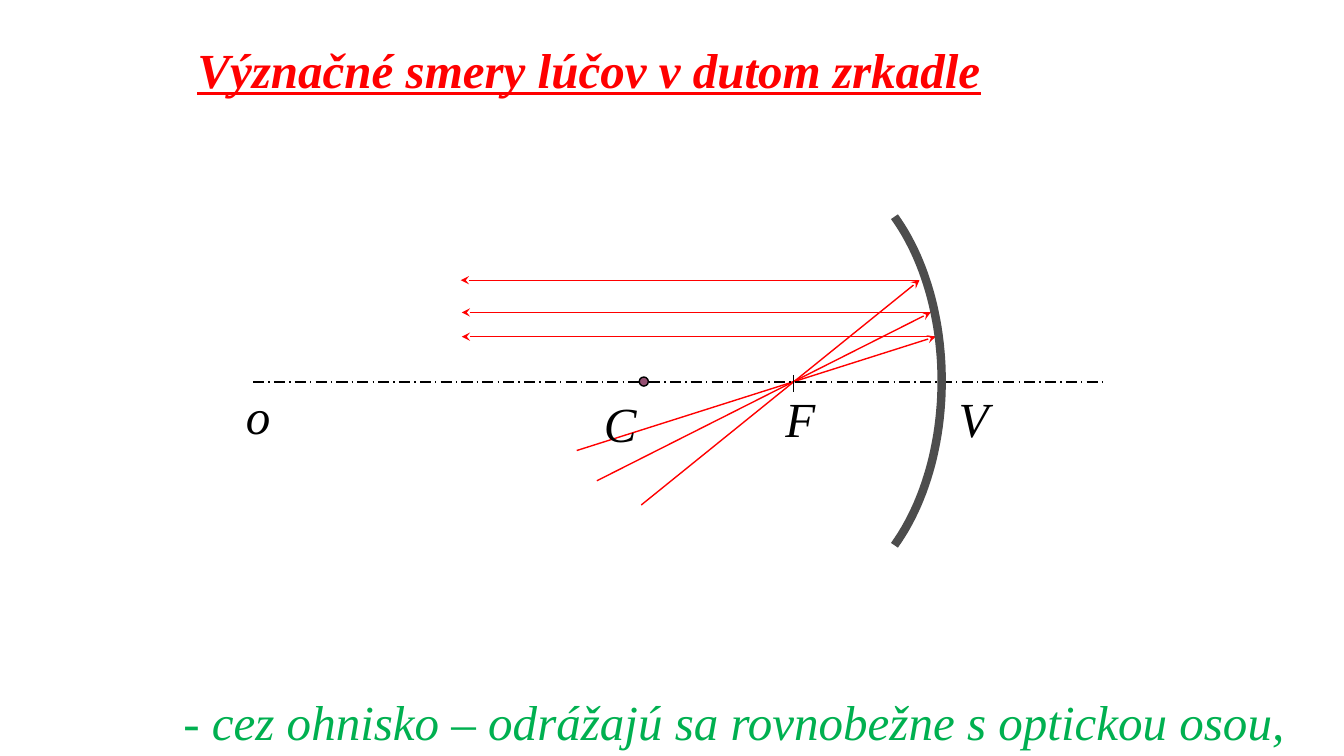
from dataclasses import dataclass
from math import asin, cos, sin

from lxml import etree
from pptx import Presentation
from pptx import util as u
from pptx.dml.color import RGBColor
from pptx.enum import dml, shapes, text
from pptx.oxml.ns import qn

PX = 9144  # EMU per px, 100 px to the inch
FONT = "Times New Roman"
RED, GREEN, BLACK, GREY, PLUM = "FF0000", "00B050", "000000", "4D4D4D", "954F72"
AXIS_Y = 379


@dataclass
class Ray:
    """Enters from (x, y), hits the mirror and leaves parallel to the axis."""
    x: int
    y: int
    hit_x: int
    hit_y: int
    end_x: int


@dataclass
class Label:
    name: str
    x: int
    y: int


RAYS = [
    Ray(636, 501, 912, 278, 457),
    Ray(592, 477, 923, 310, 458),
    Ray(572, 447, 928, 334, 458),
]
LABELS = [Label("C", 589, 385), Label("V", 941, 380),
          Label("o", 234, 378), Label("F", 769, 380)]


def px(n: float) -> u.Emu:
    return u.Emu(round(n * PX))


def rgb(color: str) -> RGBColor:
    return RGBColor.from_string(color)


def add_text(s, content: str, x: int, y: int, w: int, *, color: str = BLACK,
             bold: bool = False, underline: bool = False) -> None:
    tf = s.shapes.add_textbox(px(x), px(y), px(w), px(68)).text_frame
    tf.word_wrap = True
    tf.vertical_anchor = text.MSO_ANCHOR.TOP
    r = tf.paragraphs[0].add_run()
    r.text = content
    f = r.font
    f.name, f.size, f.color.rgb = FONT, u.Pt(35), rgb(color)
    f.bold, f.italic, f.underline = bold, True, underline


def add_line(s, x1: int, y1: int, x2: int, y2: int, *, color: str = BLACK,
             arrow: bool = False, dashed: bool = False) -> None:
    """Draw a line; an arrowhead sits at its first point."""
    sp = s.shapes.add_connector(shapes.MSO_CONNECTOR.STRAIGHT,
                                px(x1), px(y1), px(x2), px(y2))
    sp.line.color.rgb, sp.line.width = rgb(color), u.Pt(1)
    if dashed:
        sp.line.dash_style = dml.MSO_LINE.LONG_DASH_DOT
    if arrow:
        etree.SubElement(sp.line._get_or_add_ln(), qn("a:headEnd"), type="stealth")
    etree.SubElement(sp._element.spPr, qn("a:effectLst"))


def add_mirror(s, cx: int, cy: int, rx: int, ry: int, half: int) -> None:
    """Draw the right-hand arc of an ellipse, from half above cy to half below."""
    steps = 48
    limit = asin(half / ry)
    angles = [limit * (2 * i / steps - 1) for i in range(steps + 1)]
    points = [(px(cx + rx * cos(a)), px(cy + ry * sin(a))) for a in angles]
    fb = s.shapes.build_freeform(*points[0])
    fb.add_line_segments(points[1:], close=False)
    sp = fb.convert_to_shape()
    sp.shadow.inherit = False
    sp.fill.background()
    sp.line.color.rgb, sp.line.width = rgb(GREY), u.Pt(6)


def add_center(s, x: int, y: int, size: int) -> None:
    sp = s.shapes.add_shape(shapes.MSO_SHAPE.OVAL, px(x), px(y), px(size), px(size))
    sp.shadow.inherit = False
    sp.fill.solid()
    sp.fill.fore_color.rgb = rgb(PLUM)
    sp.line.color.rgb, sp.line.width = rgb(BLACK), u.Pt(1)


def main() -> None:
    prs = Presentation()
    prs.slide_width, prs.slide_height = px(1333), px(750)
    s = prs.slides.add_slide(prs.slide_layouts[6])

    # Title and rule
    add_text(s, "Význačné smery lúčov v dutom zrkadle", 186, 34, 804,
             color=RED, bold=True, underline=True)
    add_text(s, "- cez ohnisko – odrážajú sa rovnobežne s optickou osou,",
             172, 681, 1132, color=GREEN)

    # Reflected and incoming rays
    for ray in RAYS:
        add_line(s, ray.end_x, ray.hit_y, ray.hit_x, ray.hit_y, color=RED, arrow=True)
        add_line(s, ray.hit_x, ray.hit_y, ray.x, ray.y, color=RED, arrow=True)

    # Optical axis, mirror, centre and focus
    add_line(s, 251, AXIS_Y, 1098, AXIS_Y, dashed=True)
    add_mirror(s, 793, 378, 141, 219, 163)
    add_center(s, 634, 374, 9)
    for label in LABELS:
        add_text(s, label.name, label.x, label.y, 50)
    add_line(s, 787, 372, 787, 389)

    prs.save("out.pptx")


if __name__ == "__main__":
    main()
